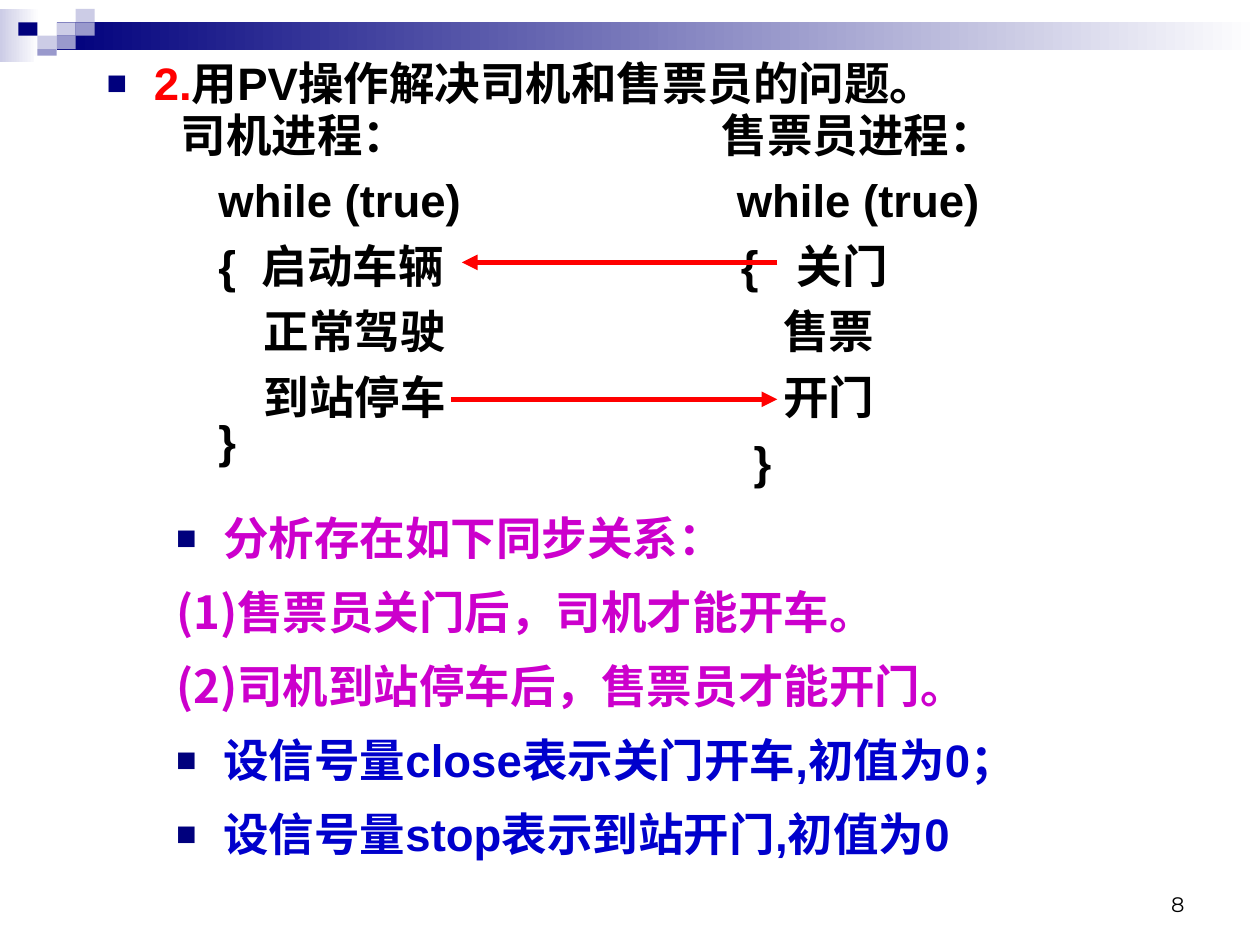
from lxml import etree
from pptx import Presentation
from pptx.dml.color import RGBColor
from pptx.enum.shapes import MSO_CONNECTOR, MSO_SHAPE
from pptx.enum.text import MSO_ANCHOR, PP_ALIGN
from pptx.oxml.ns import qn
from pptx.util import Cm, Pt

RECT = MSO_SHAPE.RECTANGLE
LINE = MSO_CONNECTOR.STRAIGHT
TOP, BOTTOM = MSO_ANCHOR.TOP, MSO_ANCHOR.BOTTOM
LEFT, MID, RIGHT, JUST = PP_ALIGN.LEFT, PP_ALIGN.CENTER, PP_ALIGN.RIGHT, PP_ALIGN.JUSTIFY

HUES = {
    "navy": "00007D", "lilac": "CCCCE6", "mauve": "9999CC", "white": "FFFFFF",
    "black": "000000", "red": "FF0000", "pink": "CC00CC", "blue": "0000CC",
}
HAN = "Noto Sans CJK SC"
BOLD = {"size": Pt(26), "bold": True, "name": "Arial"}
ITEM = {"line_spacing": 1.2, "space_before": Pt(0), "space_after": Pt(4.9)}


def hue(name):
    return RGBColor.from_string(HUES[name])


def put(obj, style):
    for key, value in style.items():
        setattr(obj, key, value)


def add(parent, tag, **attrs):
    return etree.SubElement(parent, qn(tag), attrs)


def block(slide, box, *fills):
    shape = slide.shapes.add_shape(RECT, *map(Cm, box))
    shape.shadow.inherit = False
    shape.line.fill.background()
    if len(fills) == 1:
        shape.fill.solid()
        shape.fill.fore_color.rgb = hue(fills[0])
        return
    shape.fill.gradient()
    shape.fill.gradient_angle = 0
    for spot, (stop, name) in enumerate(zip(shape.fill.gradient_stops, fills)):
        stop.position = spot
        stop.color.rgb = hue(name)


def frame(shape, side, edge, anchor=TOP):
    text = shape.text_frame
    put(text, {
        "word_wrap": True, "vertical_anchor": anchor,
        "margin_left": Cm(side), "margin_right": Cm(side),
        "margin_top": Cm(edge), "margin_bottom": Cm(edge),
    })
    return text


def write(para, text, color, style):
    run = para.add_run()
    run.text = text
    put(run.font, style)
    run.font.color.rgb = hue(color)
    add(run._r.get_or_add_rPr(), "a:ea", typeface=HAN)


def indent(para, mark):
    props = para._p.get_or_add_pPr()
    props.set("marL", str(Cm(0.95)))
    props.set("indent", str(Cm(-0.95)))
    if mark:
        tint = add(props, "a:buClr")
        add(tint, "a:srgbClr", val=HUES["navy"])
        add(props, "a:buSzPct", val="75000")
        add(props, "a:buFont", typeface="Arial")
        add(props, "a:buChar", char="■")
    put(para, ITEM)


def lines(text, count):
    while len(text.paragraphs) < count:
        text.add_paragraph()
    return text.paragraphs


def banner(slide, box):
    left, top, width, height = box
    wide, tall = 0.385, 0.27
    start = left + 0.37
    block(slide, (left, top, 0.79, height), "lilac", "white")
    bar = start + 2 * wide
    block(slide, (bar, top + tall, left + width - bar, 0.56), "navy", "white")
    tiles = [
        (2, 1, "lilac"), (3, 0, "lilac"), (3, 1, "mauve"), (1, 2, "lilac"),
        (0, 1, "navy"), (2, 2, "mauve"), (1, 3, "mauve"),
    ]
    for col, row, name in tiles:
        block(slide, (start + col * wide, top + row * tall, wide, tall), name)


def number(slide, box):
    text = frame(slide.shapes.add_textbox(*map(Cm, box)), 0.25, 0.13, BOTTOM)
    para = text.paragraphs[0]
    para.alignment = RIGHT
    write(para, "8", "black", {"size": Pt(12), "name": "Montserrat"})


def heading(slide, box):
    title = slide.shapes.title
    title._element.getparent().remove(title._element)
    body = slide.placeholders[1]
    put(body, dict(zip(("left", "top", "width", "height"), map(Cm, box))))
    para = frame(body, 0.25, 0.13).paragraphs[0]
    indent(para, True)
    write(para, "2.", "red", BOLD)
    write(para, "用PV操作解决司机和售票员的问题。", "black", BOLD)


def process(slide, box, rows):
    text = frame(slide.shapes.add_textbox(*map(Cm, box)), 0.03, 0.03)
    for para, (words, align, gap) in zip(lines(text, len(rows)), rows):
        put(para, {"alignment": align, "line_spacing": gap})
        write(para, words, "black", BOLD)


def notes(slide, box, rows):
    text = frame(slide.shapes.add_textbox(*map(Cm, box)), 0.25, 0.13)
    for para, (words, mark, color) in zip(lines(text, len(rows)), rows):
        indent(para, mark)
        write(para, words, color, BOLD if mark else {**BOLD, "name": HAN})


def arrow(slide, start, end, level):
    link = slide.shapes.add_connector(LINE, Cm(start), Cm(level), Cm(end), Cm(level))
    link.line.color.rgb = hue("red")
    link.line.width = Pt(3)
    add(link.line._get_or_add_ln(), "a:tailEnd", type="triangle")
    add(link._element.spPr, "a:effectLst")


def main():
    deck = Presentation()
    put(deck, {"slide_width": Cm(25.4), "slide_height": Cm(19.05)})
    slide = deck.slides.add_slide(deck.slide_layouts[1])
    banner(slide, (0, 0.18, 25.4, 1.07))
    number(slide, (18.21, 17.35, 5.92, 1.27))
    block(slide, (0.69, 1.12, 23.8, 3.6), "white")
    heading(slide, (1.9, 0.76, 21.6, 16.61))
    body = slide.placeholders[1]._element
    body.getparent().append(body)
    process(slide, (3.61, 2.34, 6.68, 7.21), [
        ("司机进程：", JUST, 0.8),
        ("   while (true)", JUST, 1.2),
        ("   {  启动车辆", JUST, 1.2),
        ("  正常驾驶", MID, 1.2),
        ("  到站停车", MID, 1.2),
        ("   }", JUST, 0.8),
    ])
    process(slide, (13.89, 1.9, 6.83, 8.05), [
        ("售票员进程：", MID, 1.2),
        ("while (true)", MID, 1.2),
        ("    {   关门", LEFT, 1.2),
        ("         售票", LEFT, 1.2),
        ("         开门", LEFT, 1.2),
        ("     }", LEFT, 1.2),
    ])
    notes(slide, (3.3, 9.93, 19.61, 7.6), [
        ("分析存在如下同步关系：", True, "pink"),
        ("(1)售票员关门后，司机才能开车。", False, "pink"),
        ("(2)司机到站停车后，售票员才能开门。", False, "pink"),
        ("设信号量close表示关门开车,初值为0；", True, "blue"),
        ("设信号量stop表示到站开门,初值为0", True, "blue"),
    ])
    arrow(slide, 15.67, 9.31, 5.29)
    arrow(slide, 9.1, 15.67, 8.05)
    deck.save("out.pptx")


if __name__ == "__main__":
    main()
